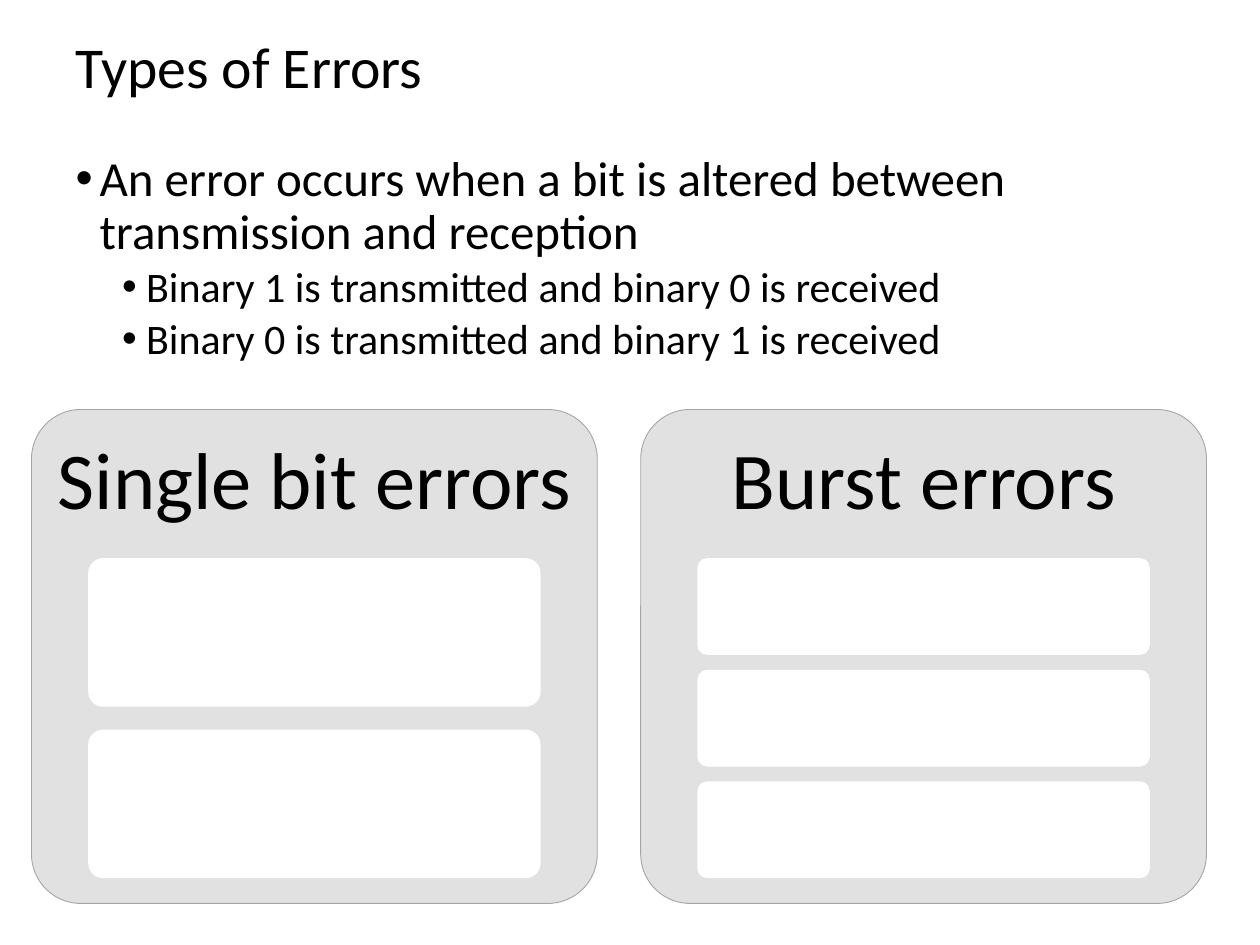
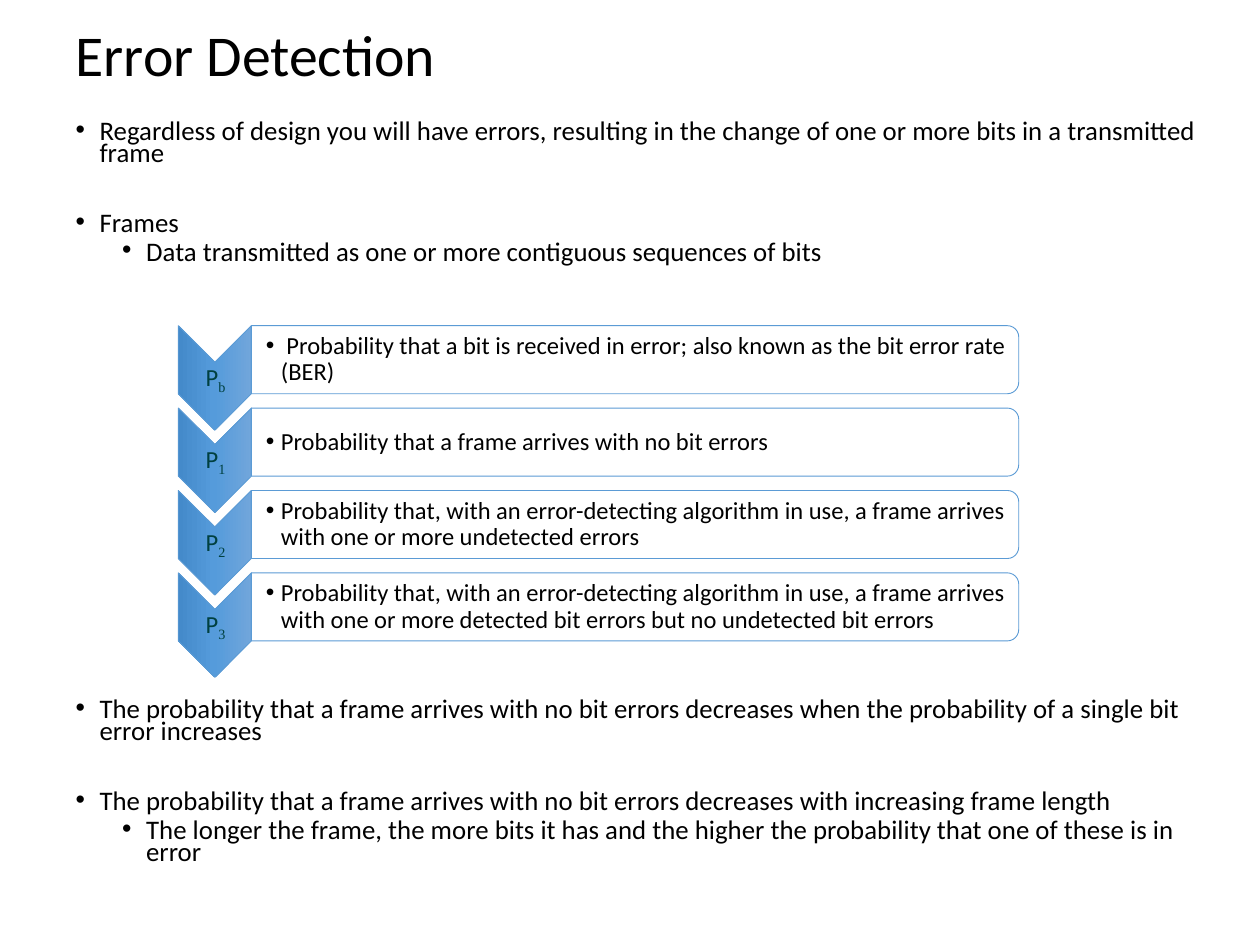
import pptx
import pptx.util
import pptx.dml.color
import pptx.enum.shapes
import pptx.enum.text
import pptx.oxml
import pptx.oxml.ns
from pptx.util import Inches

Pt = pptx.util.Pt
RGB = pptx.dml.color.RGBColor
KIND = pptx.enum.shapes.MSO_SHAPE
MID = pptx.enum.text.MSO_ANCHOR.MIDDLE
LEFT = pptx.enum.text.PP_ALIGN.LEFT
MIDST = pptx.enum.text.PP_ALIGN.CENTER
NS = 'xmlns:a="http://schemas.openxmlformats.org/drawingml/2006/main"'

# Shared look
HUES = {"ink": "000000", "paper": "FFFFFF", "panel": "E1E1E1", "edge": "A5A5A5",
        "blue": "5B9BD5", "mark": "004040", "light": "71A6DB", "mid": "559BDB",
        "deep": "448ACA"}
TITLE = {"line_spacing": 0.9, "alignment": LEFT}
LABEL = {"line_spacing": 0.9, "alignment": MIDST}
INDENT = [0.19, 0.56]


def write(par, text, size, look, hue="ink", font="Calibri", hang=None):
    """Add a run to a paragraph; hang = (left, hang) in inches gives a bullet."""
    for key, val in look.items():
        setattr(par, key, val)
    run = par.add_run()
    run.text = text
    for key, val in {"size": Pt(size), "name": font, "bold": False}.items():
        setattr(run.font, key, val)
    run.font.color.rgb = RGB.from_string(HUES[hue])
    if hang:
        props = par._p.get_or_add_pPr()
        props.set("marL", str(Inches(hang[0])))
        props.set("indent", str(-Inches(hang[1])))
        for tag in ('buFont %s typeface="Arial"', 'buChar %s char="\u2022"'):
            props.append(pptx.oxml.parse_xml("<a:" + tag % NS + "/>"))
    return run


def draw(slide, kind, spot, fill=None, edge=None, inset=(0, 0)):
    """Add a preset shape, or a text box when kind is None."""
    spot = [Inches(n) for n in spot]
    if kind is None:
        item = slide.shapes.add_textbox(*spot)
        side, rest = (Inches(n) for n in inset)
        look = {"word_wrap": True, "vertical_anchor": MID, "margin_left": side,
                "margin_right": rest, "margin_top": rest, "margin_bottom": rest}
        for key, val in look.items():
            setattr(item.text_frame, key, val)
        return item
    item = slide.shapes.add_shape(kind, *spot)
    item.shadow.inherit = False
    if fill:
        item.fill.solid()
        item.fill.fore_color.rgb = RGB.from_string(HUES[fill])
    if edge:
        item.line.color.rgb = RGB.from_string(HUES[edge])
        item.line.width = Pt(0.5)
    else:
        item.line.fill.background()
    return item


deck = pptx.Presentation()
deck.slide_width, deck.slide_height = Inches(10), Inches(7.5)

# Titles and lists: (level, space before, text)
pages = [
    {"title": "Types of Errors", "head": (0.5, 0, 9, 1.11),
     "body": (0.5, 1.17, 9, 6.17), "sizes": (28, 24), "lead": 0.9,
     "list": [
         (0, 7.5, "An error occurs when a bit is altered between transmission and reception"),
         (1, 3.8, "Binary 1 is transmitted and binary 0 is received "),
         (1, 3.8, "Binary 0 is transmitted and binary 1 is received")]},
    {"title": "Error Detection", "head": (0.5, -0.17, 9, 1.25),
     "body": (0.5, 0.92, 9.17, 6.33), "sizes": (15.3, 15.3), "lead": 0.7,
     "list": [
         (0, 7, "Regardless of design you will have errors, resulting in the change "
                "of one or more bits in a transmitted frame"),
         (0, 27, "Frames"),
         (1, 3.5, "Data transmitted as one or more contiguous sequences of bits"),
         (0, 248.4, "The probability that a frame arrives with no bit errors decreases "
                    "when the probability of a single bit error increases"),
         (0, 27, "The probability that a frame arrives with no bit errors decreases "
                 "with increasing frame length"),
         (1, 3.5, "The longer the frame, the more bits it has and the higher the "
                  "probability that one of these is in error")]},
]
slides = []
for page in pages:
    slide = deck.slides.add_slide(deck.slide_layouts[1])
    slides.append(slide)
    head, body = slide.placeholders
    for item, spot in ((head, page["head"]), (body, page["body"])):
        for key, val in zip(("left", "top", "width", "height"), spot):
            setattr(item, key, Inches(val))
        item.text_frame.auto_size = pptx.enum.text.MSO_AUTO_SIZE.NONE
    head.text_frame.vertical_anchor = MID
    write(head.text_frame.paragraphs[0], page["title"], 33, TITLE)
    for num, (level, gap, text) in enumerate(page["list"]):
        frame = body.text_frame
        par = frame.add_paragraph() if num else frame.paragraphs[0]
        look = {"level": level, "line_spacing": page["lead"], "space_before": Pt(gap)}
        write(par, text, page["sizes"][level], look, hang=(INDENT[level], 0.19))

# Error panels: each holds a stack of equal white bars
for num, (name, count) in enumerate([("Single bit errors", 2), ("Burst errors", 3)]):
    left = 0.25 + num * 4.835
    panel = draw(slides[0], KIND.ROUNDED_RECTANGLE, (left, 3.25, 4.49, 3.92), "panel", "edge")
    panel.adjustments[0] = 0.1
    label = draw(slides[0], None, (left, 3.25, 4.49, 1.18), inset=(0.19, 0.19))
    write(label.text_frame.paragraphs[0], name, 46, LABEL)
    ratio = 2 / 13
    high = 2.54 / (count + (count - 1) * ratio)
    for row in range(count):
        top = 4.43 + row * high * (1 + ratio)
        bar = draw(slides[0], KIND.ROUNDED_RECTANGLE, (left + 0.45, top, 3.59, high), "paper")
        bar.adjustments[0] = 0.1

# Chevron list of the four chances
rows = [
    ("b", " Probability that a bit is received in error; also known as the bit error rate (BER)"),
    ("1", "Probability that a frame arrives with no bit errors"),
    ("2", "Probability that, with an error-detecting algorithm in use, a frame arrives "
          "with one or more undetected errors"),
    ("3", "Probability that, with an error-detecting algorithm in use, a frame arrives "
          "with one or more detected bit errors but no undetected bit errors"),
]
stops = "".join('<a:gs pos="%d"><a:srgbClr val="%s"/></a:gs>' % (pos, HUES[hue])
                for pos, hue in ((0, "light"), (50000, "mid"), (100000, "deep")))
blend = ('<a:gradFill %s rotWithShape="1"><a:gsLst>%s</a:gsLst>'
         '<a:lin ang="5400000" scaled="0"/></a:gradFill>' % (NS, stops))
for num, (sub, text) in enumerate(rows):
    drop = num * 0.654
    arrow = draw(slides[1], KIND.CHEVRON, (1.29, 2.71 + drop, 0.83, 0.58), edge="blue")
    arrow.rotation = 90
    outline = arrow._element.spPr.find(pptx.oxml.ns.qn("a:ln"))
    outline.addprevious(pptx.oxml.parse_xml(blend))
    label = draw(slides[1], None, (1.42, 2.87 + drop, 0.58, 0.25), inset=(0.01, 0.01))
    par = label.text_frame.paragraphs[0]
    write(par, "P", 14, LABEL, "mark")
    low = write(par, sub, 14, LABEL, "mark", "Times New Roman")
    low.font._element.set("baseline", "-25000")

    card = draw(slides[1], KIND.ROUND_2_SAME_RECTANGLE, (4.77, -0.19 + drop, 0.54, 6.09),
                "paper", "blue")
    card.rotation = 90
    tint = card._element.spPr.find(".//" + pptx.oxml.ns.qn("a:srgbClr"))
    tint.append(pptx.oxml.parse_xml('<a:alpha %s val="90000"/>' % NS))
    note = draw(slides[1], None, (2, 2.61 + drop, 6.06, 0.49), inset=(0.11, 0.01))
    write(note.text_frame.paragraphs[0], text, 14, {"level": 1, "line_spacing": 0.9},
          hang=(0.12, 0.12))

deck.save("out.pptx")
